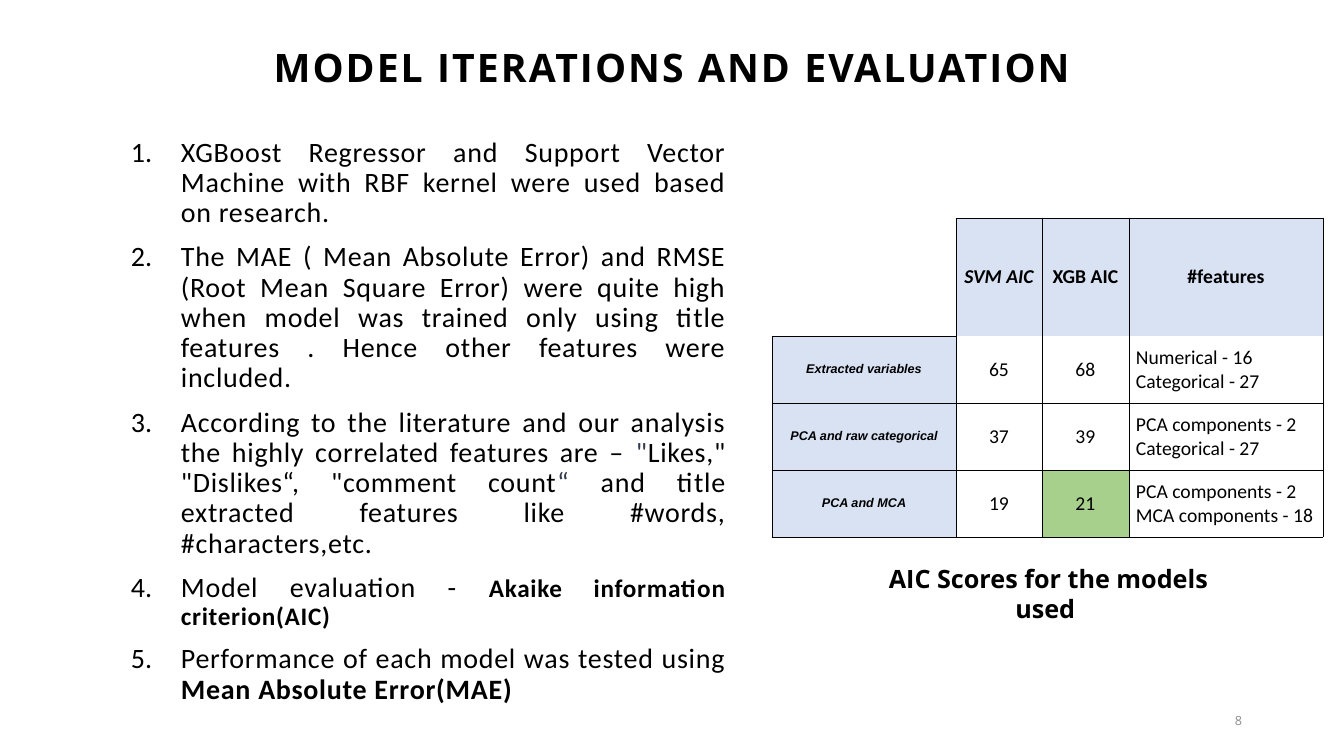
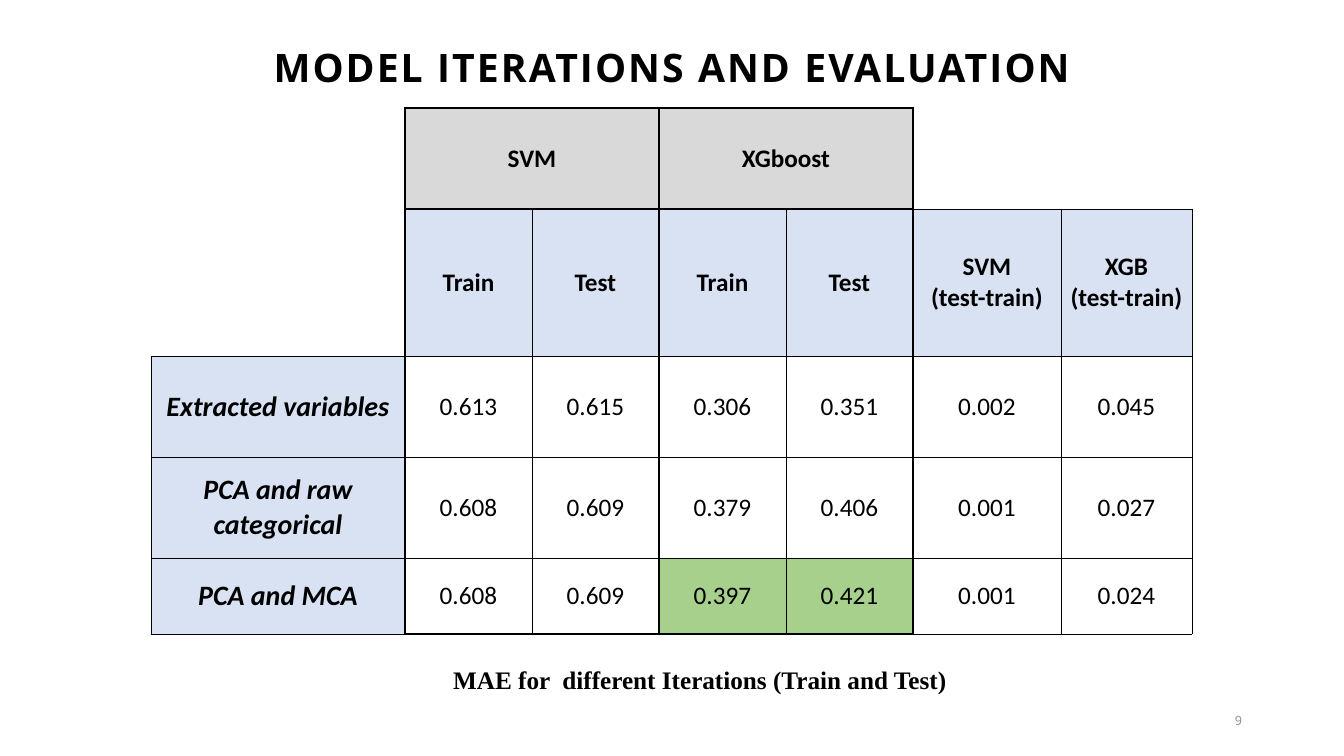
from dataclasses import dataclass, field
from typing import Callable, Optional

from lxml import etree
from pptx import Presentation
from pptx.dml.color import RGBColor
from pptx.enum import text
from pptx.oxml import ns
from pptx.util import Emu, Pt

EMU_PER_PIXEL = 914400 / 100.8
BLACK = RGBColor(0x00, 0x00, 0x00)
WHITE = RGBColor(0xFF, 0xFF, 0xFF)
SLATE = RGBColor(0x31, 0x39, 0x4D)
MUTED = RGBColor(0x8C, 0x8C, 0x8C)
HEADER_BLUE = RGBColor(0xD9, 0xE2, 0xF3)
GROUP_GRAY = RGBColor(0xD9, 0xD9, 0xD9)
BEST_GREEN = RGBColor(0xA8, 0xD0, 0x8D)
HEADING_FONT = "Open Sans"
BODY_FONT = "Calibri"
THIN, THICK = 0.5, 1.5
CENTER = text.PP_ALIGN.CENTER
MIDDLE = text.MSO_ANCHOR.MIDDLE
TITLE = "MODEL ITERATIONS AND EVALUATION"
ITERATIONS = ["Extracted variables", "PCA and raw categorical", "PCA and MCA"]

Edges = dict[str, float]


@dataclass(frozen=True)
class Box:
    left: int
    top: int
    width: int
    height: int


@dataclass(frozen=True)
class Span:
    words: str
    look: dict = field(default_factory=dict)


@dataclass(frozen=True)
class Cell:
    words: str = ""
    fill: Optional[RGBColor] = WHITE
    size: float = 18
    font: str = BODY_FONT
    bold: bool = False
    italic: bool = False
    align: Optional[text.PP_ALIGN] = CENTER
    columns: int = 1


@dataclass(frozen=True)
class Grid:
    left: int
    top: int
    columns: list[int]
    rows: list[int]
    cells: list[list[Cell]]
    inset: tuple[int, int]
    edges: Callable[[int, int], Edges]


def px(pixels: int) -> Emu:
    return Emu(round(pixels * EMU_PER_PIXEL))


def style_run(run, size: float = 18, font: str = BODY_FONT, color: RGBColor = BLACK,
              bold: bool = False, italic: bool = False, spacing: float = 0) -> None:
    run.font.size = Pt(size)
    run.font.name = font
    run.font.color.rgb = color
    run.font.bold = bold
    run.font.italic = italic
    if spacing:
        run.font._element.set("spc", str(round(spacing * 100)))


def write(frame, paragraphs: list[list[Span]], align=None, line_spacing=None,
          before: float = 0, numbered_indent: int = 0, **look) -> None:
    for index, spans in enumerate(paragraphs):
        paragraph = frame.paragraphs[0] if index == 0 else frame.add_paragraph()
        paragraph.alignment = align
        paragraph.line_spacing = line_spacing
        paragraph.space_before = Pt(before)
        if numbered_indent:
            properties = paragraph._p.get_or_add_pPr()
            properties.set("marL", str(px(numbered_indent)))
            properties.set("indent", str(-px(numbered_indent)))
            numbering = etree.SubElement(properties, ns.qn("a:buAutoNum"))
            numbering.set("type", "arabicPeriod")
        for span in spans:
            run = paragraph.add_run()
            run.text = span.words
            style_run(run, **{**look, **span.look})


def place(shape, box: Box) -> None:
    shape.left, shape.top = px(box.left), px(box.top)
    shape.width, shape.height = px(box.width), px(box.height)


def add_text(slide, box: Box, paragraphs: list[list[Span]], anchor=text.MSO_ANCHOR.TOP,
             grow: bool = False, **style) -> None:
    shape = slide.shapes.add_textbox(0, 0, 0, 0)
    place(shape, box)
    frame = shape.text_frame
    frame.word_wrap = True
    frame.vertical_anchor = anchor
    if grow:
        frame.auto_size = text.MSO_AUTO_SIZE.SHAPE_TO_FIT_TEXT
    write(frame, paragraphs, **style)


def add_titled_slide(deck, number: int):
    slide = deck.slides.add_slide(deck.slide_layouts[5])
    heading = slide.shapes.title
    place(heading, Box(121, 42, 1102, 54))
    frame = heading.text_frame
    frame.word_wrap = True
    frame.auto_size = text.MSO_AUTO_SIZE.NONE
    frame.vertical_anchor = text.MSO_ANCHOR.BOTTOM
    write(frame, [[Span(TITLE)]], align=CENTER, line_spacing=0.9,
          size=28, font=HEADING_FONT, bold=True, spacing=1.5)
    add_text(slide, Box(950, 701, 302, 40), [[Span(str(number))]], anchor=MIDDLE,
             align=text.PP_ALIGN.RIGHT, size=9, font=HEADING_FONT, color=MUTED)
    return slide


def draw_edges(cell, edges: Edges) -> None:
    properties = cell._tc.get_or_add_tcPr()
    for side in "LRTB":
        line = etree.SubElement(properties, ns.qn(f"a:ln{side}"))
        if side in edges:
            line.set("w", str(Pt(edges[side])))
            paint = etree.SubElement(line, ns.qn("a:solidFill"))
            etree.SubElement(paint, ns.qn("a:srgbClr")).set("val", str(BLACK))
        else:
            etree.SubElement(line, ns.qn("a:noFill"))


def add_grid(slide, grid: Grid) -> None:
    table = slide.shapes.add_table(
        len(grid.rows), len(grid.columns), px(grid.left), px(grid.top),
        px(sum(grid.columns)), px(sum(grid.rows))).table
    table.first_row = False
    table.horz_banding = False
    for column, width in zip(table.columns, grid.columns):
        column.width = px(width)
    for row, height in zip(table.rows, grid.rows):
        row.height = px(height)
    for r, cells in enumerate(grid.cells):
        for c, content in enumerate(cells):
            cell = table.cell(r, c)
            cell.margin_left = cell.margin_right = px(grid.inset[0])
            cell.margin_top = cell.margin_bottom = px(grid.inset[1])
            cell.vertical_anchor = MIDDLE
            draw_edges(cell, grid.edges(r, c))
            if content.fill is None:
                cell.fill.background()
            else:
                cell.fill.solid()
                cell.fill.fore_color.rgb = content.fill
            if content.words:
                write(cell.text_frame, [[Span(line)] for line in content.words.split("\n")],
                      align=content.align, size=content.size, font=content.font,
                      bold=content.bold, italic=content.italic)
            if content.columns > 1:
                cell.merge(table.cell(r, c + content.columns - 1))


def aic_edges(row: int, col: int) -> Edges:
    if (row, col) == (0, 0):
        return dict.fromkeys("RB", THIN)
    if row == 0:
        return dict.fromkeys("LTR", THIN)
    if row == 1 and col > 0:
        return dict.fromkeys("LRB", THIN)
    return dict.fromkeys("LRTB", THIN)


def mae_edges(row: int, col: int) -> Edges:
    grouped = 1 <= col <= 4
    if row == 0 and grouped:
        return dict.fromkeys("LRTB", THICK)
    if row == 0:
        return {0: {"R": THICK}, 5: {"L": THICK, "B": THIN}, 6: {"B": THIN}}[col]
    if (row, col) == (1, 0):
        return {"R": THICK, "B": THIN}
    return {
        "L": THICK if col in (1, 3, 5) else THIN,
        "R": THICK if col in (0, 2, 4) else THIN,
        "T": THICK if grouped and row == 1 else THIN,
        "B": THICK if grouped and row == 4 else THIN,
    }


def aic_grid() -> Grid:
    scores = [("65", "68", "Numerical - 16\nCategorical - 27"),
              ("37", "39", "PCA components - 2 \nCategorical - 27"),
              ("19", "21", "PCA components - 2\u00a0\nMCA components - 18")]
    cells = [[Cell()] + [Cell(name, HEADER_BLUE, 14, bold=True, italic=name == "SVM AIC")
                         for name in ("SVM AIC", "XGB AIC", "#features")]]
    for iteration, (svm, xgb, features) in zip(ITERATIONS, scores):
        cells.append([
            Cell(iteration, HEADER_BLUE, 9, "Arial", bold=True, italic=True),
            Cell(svm, size=14),
            Cell(xgb, BEST_GREEN if xgb == "21" else WHITE, 14),
            Cell(features, size=14, align=None)])
    return Grid(772, 218, [184, 86, 87, 194], [118, 67, 67, 67], cells, (7, 5), aic_edges)


def mae_grid() -> Grid:
    errors = [("0.613", "0.615", "0.306", "0.351", "0.002", "0.045"),
              ("0.608", "0.609", "0.379", "0.406", "0.001", "0.027"),
              ("0.608", "0.609", "0.397", "0.421", "0.001", "0.024")]
    best = ("0.397", "0.421")
    blank = Cell(fill=None)
    groups = [blank]
    for model in ("SVM", "XGboost"):
        groups += [Cell(model, GROUP_GRAY, bold=True, columns=2), Cell(fill=GROUP_GRAY)]
    measures = ["Train", "Test"] * 2 + [f"{model}\n(test-train)" for model in ("SVM", "XGB")]
    cells = [groups + [Cell(), Cell()],
             [blank] + [Cell(name, HEADER_BLUE, bold=True) for name in measures]]
    for iteration, values in zip(ITERATIONS, errors):
        cells.append([Cell(iteration, HEADER_BLUE, 20, bold=True, italic=True)]
                     + [Cell(value, BEST_GREEN if value in best else None) for value in values])
    return Grid(151, 108, [254] + [127] * 4 + [148, 131], [101, 147, 101, 101, 76],
                cells, (3, 2), mae_edges)


FINDINGS = [
    [Span("XGBoost Regressor and Support Vector Machine with RBF kernel were used "
          "based on research.")],
    [Span("The MAE ( Mean Absolute Error) and RMSE (Root Mean Square Error) were quite high "
          "when model was trained only using title features . Hence other features were "
          "included. ")],
    [Span("According to the literature and our analysis the highly correlated features are – "),
     Span('"', {"color": SLATE}),
     Span('Likes," "Dislikes“, "comment count'),
     Span("“ ", {"color": SLATE}),
     Span("and title extracted features like #words, #characters,etc.")],
    [Span("Model evaluation - "),
     Span("Akaike information criterion(AIC) ", {"size": 18, "bold": True})],
    [Span("Performance of each model was tested using "),
     Span("Mean Absolute Error(MAE)", {"bold": True})],
]


def main() -> None:
    deck = Presentation()
    deck.slide_width, deck.slide_height = px(1344), px(756)

    aic_slide = add_titled_slide(deck, 8)
    add_text(aic_slide, Box(121, 133, 615, 582), FINDINGS, align=text.PP_ALIGN.JUSTIFY,
             line_spacing=0.9, before=10, numbered_indent=50, size=20, spacing=0.5)
    add_grid(aic_slide, aic_grid())
    add_text(aic_slide, Box(861, 558, 375, 40), [[Span("AIC Scores for the models used ")]],
             grow=True, align=CENTER, font=HEADING_FONT, bold=True)

    mae_slide = add_titled_slide(deck, 9)
    add_grid(mae_slide, mae_grid())
    add_text(mae_slide, Box(303, 659, 800, 40),
             [[Span("MAE for  different Iterations (Train and Test) ")]],
             grow=True, align=CENTER, font="Times New Roman", bold=True)

    deck.save("out.pptx")


main()
